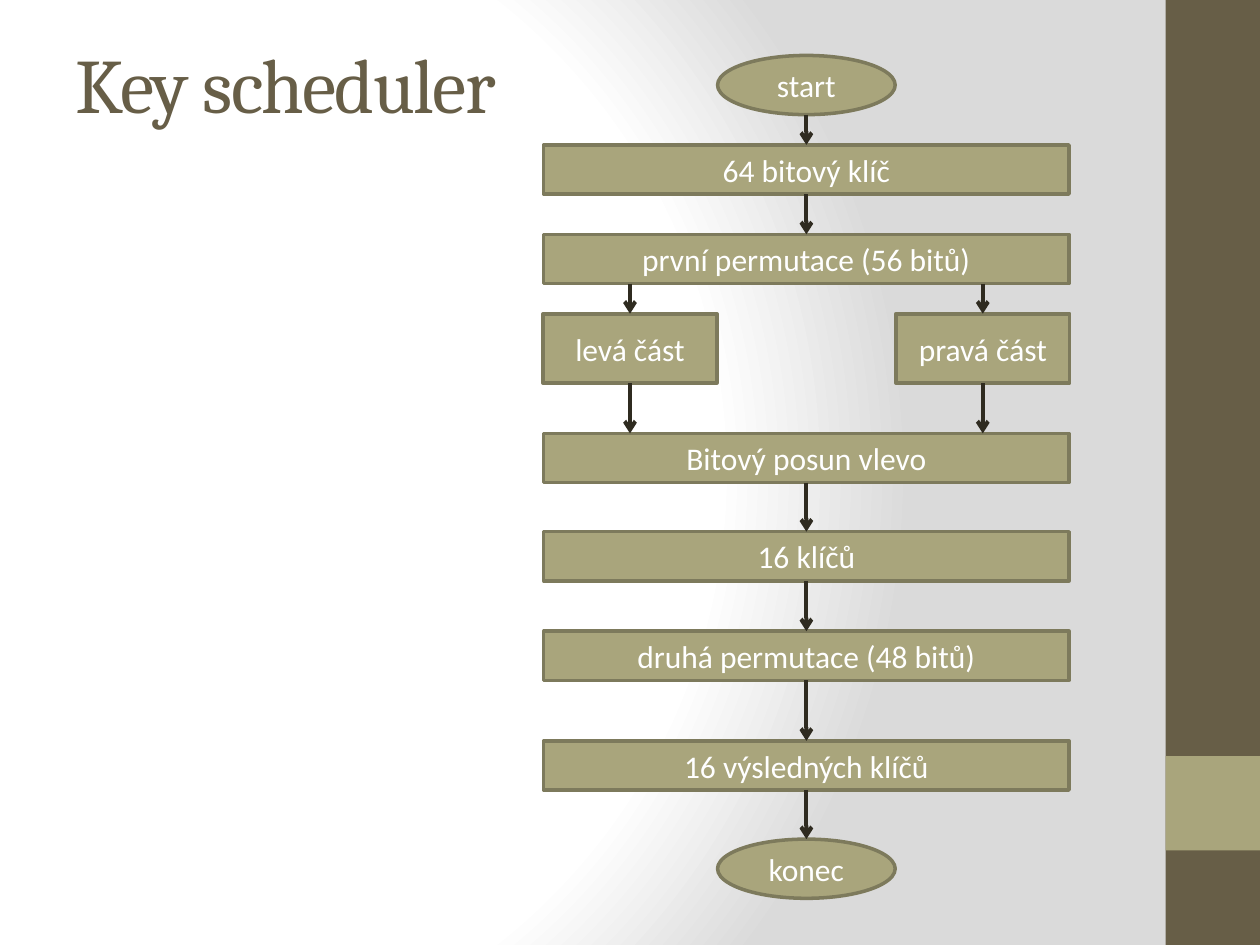
"""Build the key scheduler flowchart slide."""
from dataclasses import dataclass
from lxml import etree
from pptx import Presentation
from pptx.dml.color import RGBColor
from pptx.enum.shapes import MSO_CONNECTOR, MSO_SHAPE
from pptx.enum.text import MSO_ANCHOR, PP_ALIGN
from pptx.oxml import parse_xml
from pptx.oxml.ns import nsdecls, qn
from pptx.util import Inches, Pt

RECT, OVAL = MSO_SHAPE.RECTANGLE, MSO_SHAPE.OVAL
LINE = MSO_CONNECTOR.STRAIGHT
MIDDLE, BOTTOM = MSO_ANCHOR.MIDDLE, MSO_ANCHOR.BOTTOM
CENTER = PP_ALIGN.CENTER

WIDTH, HEIGHT = 10, 7.5
COLS, ROWS = 100, 75
LEFT, MID, RIGHT = 50, 64, 78
WIDE, SIDE, CAP = (41.7, 3.9), (13.8, 5.5), (14.1, 4.7)

NODES = [
    ("start", OVAL, MID, 4.4, CAP),
    ("64 bitový klíč", RECT, MID, 11.5, WIDE),
    ("první permutace (56 bitů)", RECT, MID, 18.6, WIDE),
    ("levá část", RECT, LEFT, 24.9, SIDE),
    ("pravá část", RECT, RIGHT, 24.9, SIDE),
    ("Bitový posun vlevo", RECT, MID, 34.4, WIDE),
    ("16 klíčů", RECT, MID, 42.2, WIDE),
    ("druhá permutace (48 bitů)", RECT, MID, 50.1, WIDE),
    ("16 výsledných klíčů", RECT, MID, 58.8, WIDE),
    ("konec", OVAL, MID, 66.6, CAP),
]
LINKS = [
    (0, 1, MID), (1, 2, MID), (2, 3, LEFT), (2, 4, RIGHT),
    (3, 5, LEFT), (4, 5, RIGHT), (5, 6, MID), (6, 7, MID),
    (7, 8, MID), (8, 9, MID),
]


@dataclass(frozen=True)
class Theme:
    """Hold the colours, fonts and sizes."""
    dark: str = "675E47"
    sand: str = "A9A57C"
    edge: str = "7D7A5C"
    ink: str = "2F2B20"
    white: str = "FFFFFF"
    gray: str = "DADADA"
    head: str = "Cambria"
    body: str = "Calibri"
    big: int = 44
    small: int = 18
    rim: float = 2
    stroke: float = 2.25


THEME = Theme()


def col(n):
    """Turn columns into a length."""
    return Inches(n * WIDTH / COLS)


def row(n):
    """Turn rows into a length."""
    return Inches(n * HEIGHT / ROWS)


def rgb(code):
    """Turn a hex code into a colour."""
    return RGBColor.from_string(code)


def add_run(para, text, font, size, color):
    """Add one styled run to a paragraph."""
    run = para.add_run()
    run.text = text
    run.font.name, run.font.size = font, Pt(size)
    run.font.color.rgb = rgb(color)
    return run


def add_block(shapes, kind, x, y, w, h, fill, edge=None):
    """Add a flat filled shape."""
    block = shapes.add_shape(kind, col(x), row(y), col(w), row(h))
    block.shadow.inherit = False
    block.fill.solid()
    block.fill.fore_color.rgb = rgb(fill)
    if edge:
        block.line.color.rgb = rgb(edge)
        block.line.width = Pt(THEME.rim)
    else:
        block.line.fill.background()
    return block


def add_node(shapes, text, kind, mid, top, size):
    """Add a labelled flowchart node."""
    w, h = size
    node = add_block(shapes, kind, mid - w / 2, top, w, h,
                     THEME.sand, THEME.edge)
    frame = node.text_frame
    frame.word_wrap = True
    frame.vertical_anchor = MIDDLE
    para = frame.paragraphs[0]
    para.alignment = CENTER
    add_run(para, text, THEME.body, THEME.small, THEME.white)


def add_arrow(shapes, x, start, end):
    """Add a downward arrow."""
    arrow = shapes.add_connector(LINE, col(x), row(start), col(x), row(end))
    arrow.line.color.rgb = rgb(THEME.ink)
    arrow.line.width = Pt(THEME.stroke)
    props = arrow._element.spPr
    etree.SubElement(props.find(qn("a:ln")), qn("a:tailEnd"), type="arrow")
    etree.SubElement(props, qn("a:effectLst"))


def add_title(shapes, text):
    """Add the slide title."""
    box = shapes.add_textbox(col(5), row(3), col(83.3), row(7.7))
    frame = box.text_frame
    frame.word_wrap = True
    frame.vertical_anchor = BOTTOM
    run = add_run(frame.paragraphs[0], text, THEME.head, THEME.big, THEME.dark)
    run.font._element.set("spc", "-100")


def set_back(slide):
    """Give the slide a radial gradient."""
    slide.background.fill.solid()
    props = slide._element.find(".//" + qn("p:bgPr"))
    pairs = ((0, THEME.white), (75, THEME.white), (100, THEME.gray))
    stops = "".join(
        f'<a:gs pos="{pos * 1000}"><a:srgbClr val="{code}"/></a:gs>'
        for pos, code in pairs)
    props.replace(props[0], parse_xml(
        f'<a:gradFill {nsdecls("a")} rotWithShape="1">'
        f'<a:gsLst>{stops}</a:gsLst><a:path path="circle">'
        '<a:fillToRect l="20000" t="50000" r="100000" b="50000"/>'
        '</a:path></a:gradFill>'))


def main():
    """Build and save the slide."""
    deck = Presentation()
    deck.slide_width, deck.slide_height = Inches(WIDTH), Inches(HEIGHT)
    slide = deck.slides.add_slide(deck.slide_layouts[6])
    shapes = slide.shapes
    set_back(slide)
    add_block(shapes, RECT, 92.5, 0, 7.5, ROWS, THEME.dark)
    add_block(shapes, RECT, 92.5, 60, 7.5, 7.5, THEME.sand)
    chart = shapes.add_group_shape()
    for node in NODES:
        add_node(chart.shapes, *node)
    add_title(shapes, "Key scheduler")
    for tail, head, x in LINKS:
        top, size = NODES[tail][3:]
        add_arrow(shapes, x, top + size[1], NODES[head][3])
    deck.save("out.pptx")


main()
